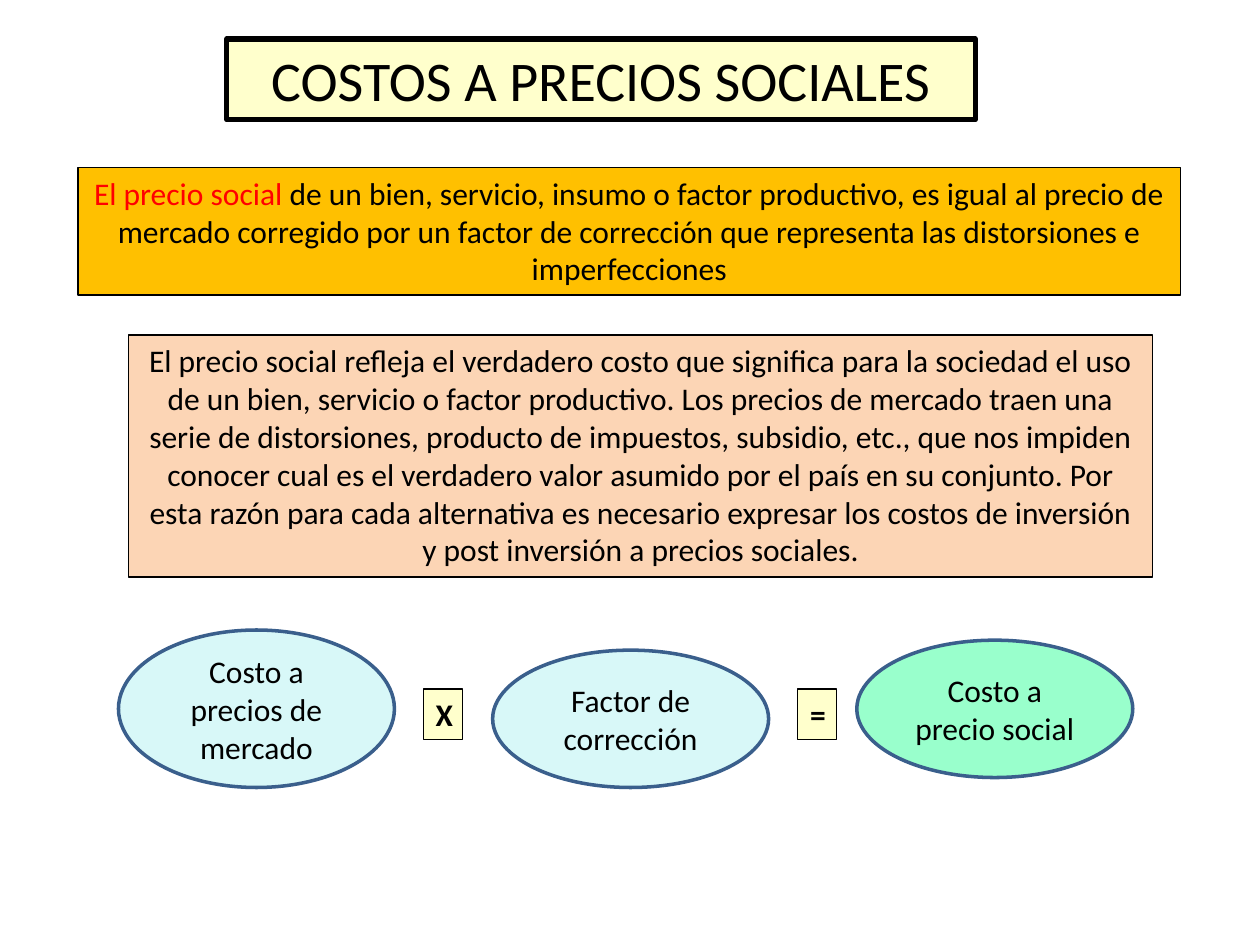
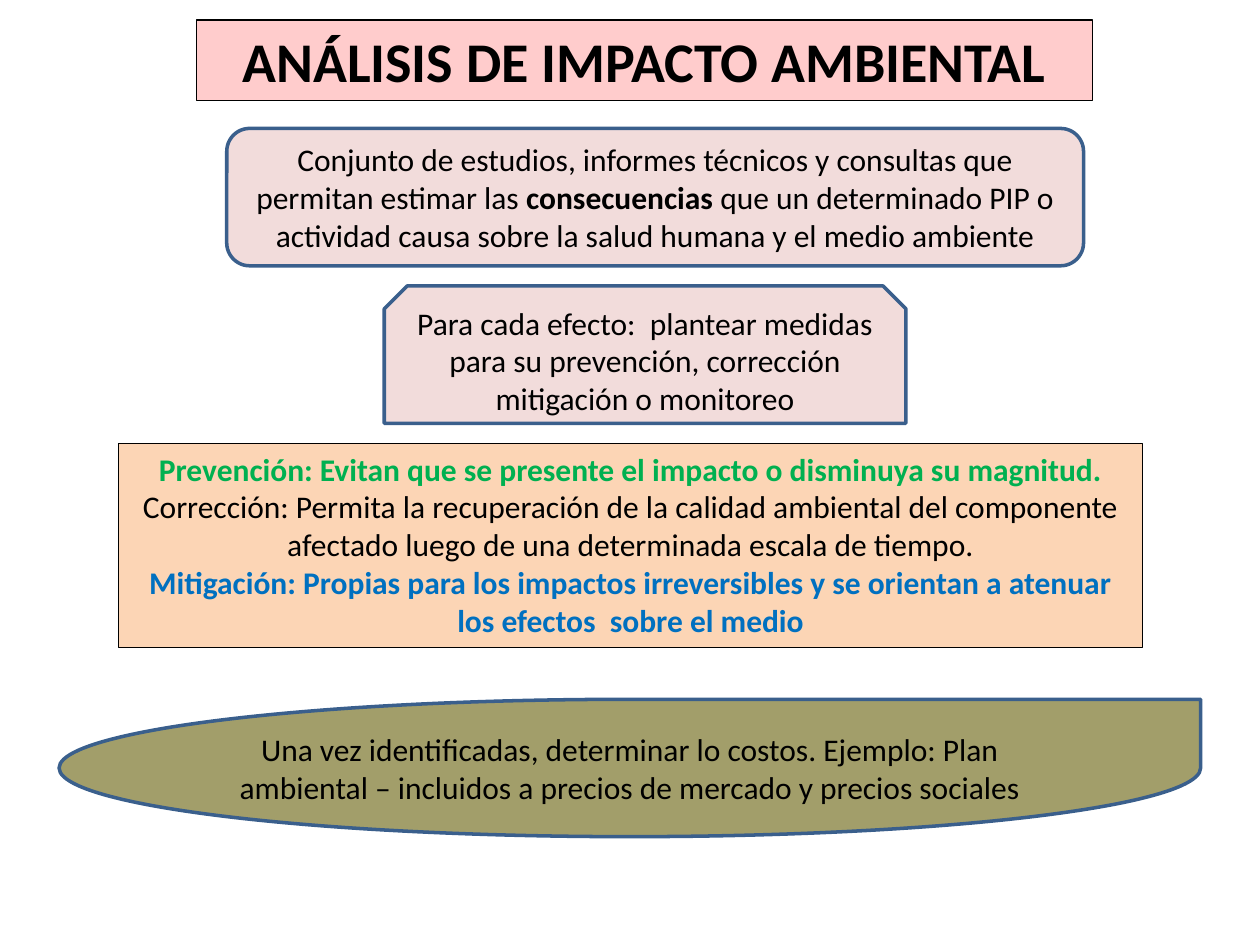
import pptx
import pptx.dml.color
import pptx.enum.shapes
import pptx.enum.text
import pptx.util

Pt = pptx.util.Pt
SHAPE = pptx.enum.shapes.MSO_SHAPE
ALIGN = pptx.enum.text.PP_ALIGN
ANCHOR = pptx.enum.text.MSO_ANCHOR

BLACK, BLUE = "000000", "3A5F8C"
CREAM, PEACH, ROSE, AQUA = "FFFFCC", "FCD5B5", "F2DCDB", "D8F8F8"
THIN, MEDIUM, THICK = 0.75, 2, 3


def rgb(value):
    return pptx.dml.color.RGBColor.from_string(value)


def style(sp, box, fill, line, width, paragraphs, size=18, anchor=ANCHOR.MIDDLE):
    sp.left, sp.top, sp.width, sp.height = [Pt(v) for v in box]
    sp.fill.solid()
    sp.fill.fore_color.rgb = rgb(fill)
    sp.line.color.rgb = rgb(line)
    sp.line.width = Pt(width)
    tf = sp.text_frame
    tf.word_wrap = True
    tf.auto_size = pptx.enum.text.MSO_AUTO_SIZE.NONE
    tf.vertical_anchor = anchor
    for i, (color, bold, runs) in enumerate(paragraphs):
        p = tf.add_paragraph() if i else tf.paragraphs[0]
        p.alignment = ALIGN.CENTER
        p.font.name = "Calibri"
        p.font.size = Pt(size)
        p.font.color.rgb = rgb(color)
        p.font.bold = bold
        for text in runs:
            p.add_run().text = text
    return tf


prs = pptx.Presentation()
prs.slide_width, prs.slide_height = Pt(720), Pt(540)

slides = [
    (
        ("COSTOS A PRECIOS SOCIALES", (129.6, 22.3, 427.7, 46.1), CREAM, THICK, False),
        [
            (SHAPE.RECTANGLE, (44.6, 95.8, 630, 72.7), "FFC000", [
                (BLACK, False, [
                    "El precio social ",
                    "de un bien, servicio, insumo o factor productivo, es igual al precio de mercado "
                    "corregido por un factor de corrección que representa las distorsiones e imperfecciones"])]),
            (SHAPE.RECTANGLE, (73.4, 191.5, 585.4, 138.2), PEACH, [
                (BLACK, False, [
                    "El precio social refleja el verdadero costo que significa para la sociedad el uso de un "
                    "bien, servicio o factor productivo. Los precios de mercado traen una serie de "
                    "distorsiones, producto de impuestos, subsidio, etc., que nos impiden conocer cual es el "
                    "verdadero valor asumido por el país en su conjunto. Por esta razón para cada alternativa "
                    "es necesario expresar los costos de inversión y post inversión a precios sociales."])]),
            (SHAPE.OVAL, (67.7, 360, 157.7, 90), AQUA, [(BLACK, False, ["Costo a precios de mercado"])]),
            (SHAPE.OVAL, (489.6, 365.8, 157.7, 78.5), "99FFCC", [(BLACK, False, ["Costo a precio social"])]),
            (SHAPE.OVAL, (281.5, 371.5, 157.7, 78.5), AQUA, [(BLACK, False, ["Factor de corrección"])]),
        ],
    ),
    (
        ("ANÁLISIS DE IMPACTO AMBIENTAL", (112.3, 11.5, 511.9, 46.1), "FFCCCC", THIN, True),
        [
            (SHAPE.ROUNDED_RECTANGLE, (129.6, 73.4, 489.6, 78.5), ROSE, [
                (BLACK, False, [
                    "Conjunto de estudios, informes técnicos y consultas que permitan estimar las ",
                    "consecuencias",
                    " que un determinado PIP o actividad causa sobre la salud humana y el medio ambiente"])]),
            (SHAPE.SNIP_2_SAME_RECTANGLE, (219.6, 163.4, 298.1, 78.5), ROSE, [
                (BLACK, False, [
                    "Para cada efecto:  plantear medidas para su prevención, corrección mitigación o monitoreo"])]),
            (SHAPE.RECTANGLE, (67.7, 253.4, 585.4, 116.6), PEACH, [
                ("00B050", True, ["Prevención: Evitan que se presente el impacto o disminuya su magnitud."]),
                (BLACK, False, [
                    "Corrección: Permita la recuperación de la calidad ambiental del componente afectado "
                    "luego de una determinada escala de tiempo."]),
                ("0070C0", True, [
                    "Mitigación: Propias para los impactos irreversibles y se orientan a atenuar los efectos  "
                    "sobre el medio"])]),
            (SHAPE.TEAR, (33.8, 399.6, 652.3, 78.5), "A29E6A", [
                (BLACK, False, [
                    "Una vez identificadas, determinar lo costos. Ejemplo: Plan ambiental – incluidos a "
                    "precios de mercado y precios sociales"])]),
        ],
    ),
]

for (title, box, fill, width, bold), panels in slides:
    s = prs.slides.add_slide(prs.slide_layouts[5])
    style(s.shapes.title, box, fill, BLACK, width, [(BLACK, bold, [title])], 32, ANCHOR.TOP)
    for kind, box, fill, paragraphs in panels:
        sp = s.shapes.add_shape(kind, 0, 0, 0, 0)
        sp.shadow.inherit = False
        if kind == SHAPE.RECTANGLE:
            tf = style(sp, box, fill, BLACK, THIN, paragraphs, anchor=ANCHOR.TOP)
        else:
            tf = style(sp, box, fill, BLUE, MEDIUM, paragraphs)
        for r in tf.paragraphs[0].runs:
            if r.text == "El precio social ":
                r.font.color.rgb = rgb("FF0000")
            elif r.text == "consecuencias":
                r.font.bold = True

for sign, left in (("X", 241.9), ("=", 455.8)):
    sp = prs.slides[0].shapes.add_shape(SHAPE.RECTANGLE, 0, 0, 0, 0)
    sp.shadow.inherit = False
    tf = style(sp, (left, 393.8, 22.3, 28.8), CREAM, BLACK, THIN, [(BLACK, True, [sign])], anchor=ANCHOR.TOP)
    tf.word_wrap = False
    tf.paragraphs[0].alignment = ALIGN.LEFT

prs.save("out.pptx")
